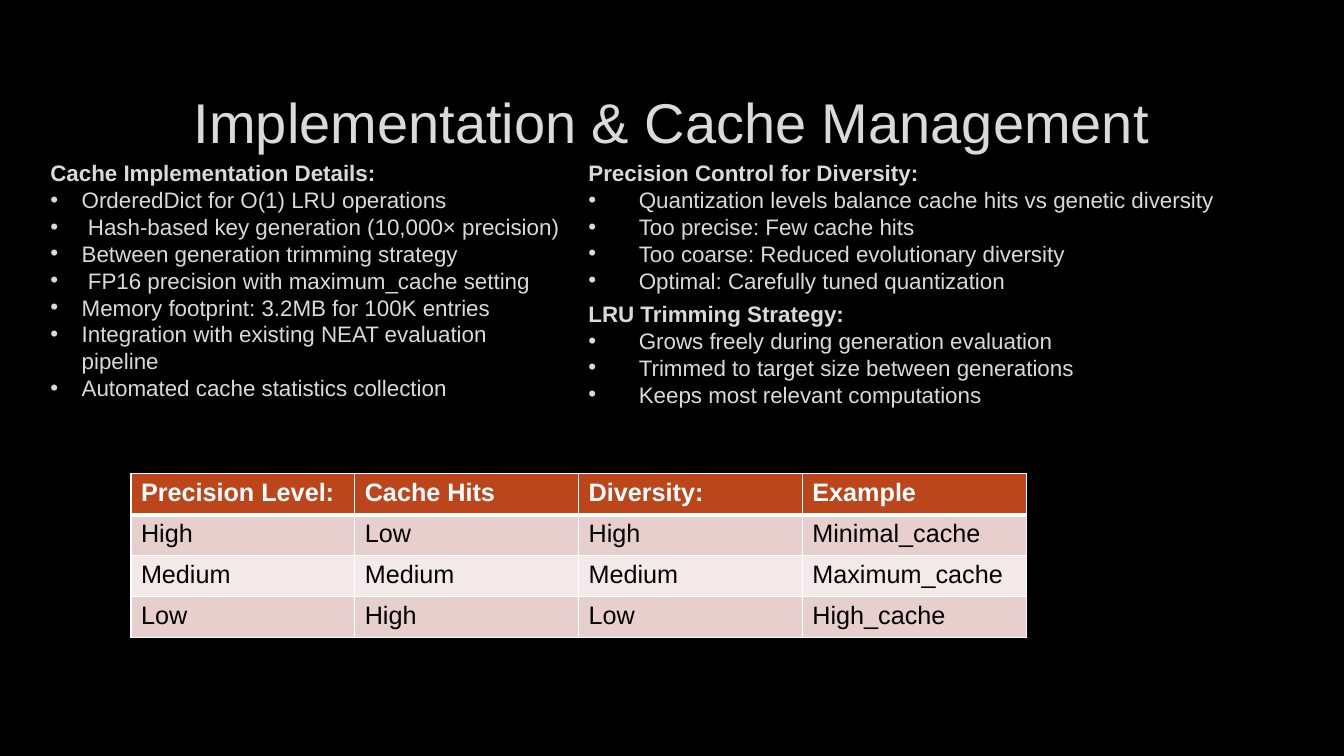
from lxml import etree
from pptx import Presentation
from pptx.dml.color import RGBColor
from pptx.enum import text as txt
from pptx.oxml import ns
from pptx.util import Cm, Pt

# Content
TITLE = "Implementation & Cache Management"
# left, top, width, height, bullet indent (cm), heading, bullet points
LISTS = [
    (1.02, 3.89, 13.56, 6.4, 0.79, "Cache Implementation Details:", [
        "OrderedDict for O(1) LRU operations",
        " Hash-based key generation (10,000× precision)",
        "Between generation trimming strategy",
        " FP16 precision with maximum_cache setting",
        "Memory footprint: 3.2MB for 100K entries",
        "Integration with existing NEAT evaluation pipeline",
        "Automated cache statistics collection",
    ]),
    (14.58, 3.89, 16.94, 3.76, 1.27, "Precision Control for Diversity:", [
        "Quantization levels balance cache hits vs genetic diversity",
        "Too precise: Few cache hits",
        "Too coarse: Reduced evolutionary diversity",
        "Optimal: Carefully tuned quantization",
    ]),
    (14.58, 7.44, 16.94, 3, 1.27, "LRU Trimming Strategy:", [
        "Grows freely during generation evaluation",
        "Trimmed to target size between generations",
        "Keeps most relevant computations",
    ]),
]
ROWS = [
    ("Precision Level:", "Cache Hits", "Diversity:", "Example"),
    ("High", "Low", "High", "Minimal_cache"),
    ("Medium", "Medium", "Medium", "Maximum_cache"),
    ("Low", "High", "Low", "High_cache"),
]

# Style
FONT = "Arial"
BLACK = RGBColor(0x00, 0x00, 0x00)
WHITE = RGBColor(0xFF, 0xFF, 0xFF)
GREY = RGBColor(0xDA, 0xDA, 0xDA)
RUST = RGBColor(0xBC, 0x45, 0x1B)
ROSE = RGBColor(0xE7, 0xCF, 0xCD)
PALE = RGBColor(0xF3, 0xE9, 0xE8)


def style(para, size, color, bold=False):
    for run in para.runs:
        font = run.font
        font.name, font.size, font.bold = FONT, Pt(size), bold
        font.color.rgb = color


def add_text(slide, left, top, width, height, lines):
    box = slide.shapes.add_textbox(Cm(left), Cm(top), Cm(width), Cm(height))
    frame = box.text_frame
    frame.word_wrap = True
    frame.text = "\n".join(lines)
    return frame


def add_bullet(para, indent):
    props = para._p.get_or_add_pPr()
    props.set("marL", str(Cm(indent)))
    props.set("indent", str(-Cm(indent)))
    etree.SubElement(props, ns.qn("a:buFont")).set("typeface", FONT)
    etree.SubElement(props, ns.qn("a:buChar")).set("char", "•")


def add_edge(cell, side, width):
    props = cell._tc.get_or_add_tcPr()
    line = etree.SubElement(props, ns.qn("a:ln" + side), w=str(Pt(width)))
    fill = etree.SubElement(line, ns.qn("a:solidFill"))
    etree.SubElement(fill, ns.qn("a:srgbClr")).set("val", str(WHITE))


# Slide
deck = Presentation()
deck.slide_width, deck.slide_height = Cm(33.87), Cm(19.05)
slide = deck.slides.add_slide(deck.slide_layouts[6])
slide.background.fill.solid()
slide.background.fill.fore_color.rgb = BLACK

# Title
frame = add_text(slide, 2.54, 1.7, 28.75, 2.7, [TITLE])
frame.vertical_anchor = txt.MSO_ANCHOR.MIDDLE
frame.paragraphs[0].alignment = txt.PP_ALIGN.CENTER
style(frame.paragraphs[0], 40, GREY)

# Bullet lists
for left, top, width, height, indent, head, points in LISTS:
    frame = add_text(slide, left, top, width, height, [head] + points)
    for i, para in enumerate(frame.paragraphs):
        if i:
            add_bullet(para, indent)
        style(para, 16, GREY, bold=i == 0)

# Precision table
WIDE, HIGH = 5.64, 1.03
count = len(ROWS[0])
table = slide.shapes.add_table(len(ROWS), count, Cm(3.3), Cm(11.94),
                               Cm(WIDE * count), Cm(HIGH * len(ROWS))).table
for r, row in enumerate(ROWS):
    fill = RUST if r == 0 else ROSE if r % 2 else PALE
    for c, word in enumerate(row):
        cell = table.cell(r, c)
        cell.text = word
        style(cell.text_frame.paragraphs[0], 18, BLACK if r else WHITE, r == 0)
        edges = {"L": 1, "R": 1, "T": 3 if r == 1 else 1, "B": 1 if r else 3}
        for side, width in edges.items():
            add_edge(cell, side, width)
        cell.fill.solid()
        cell.fill.fore_color.rgb = fill

deck.save("out.pptx")
